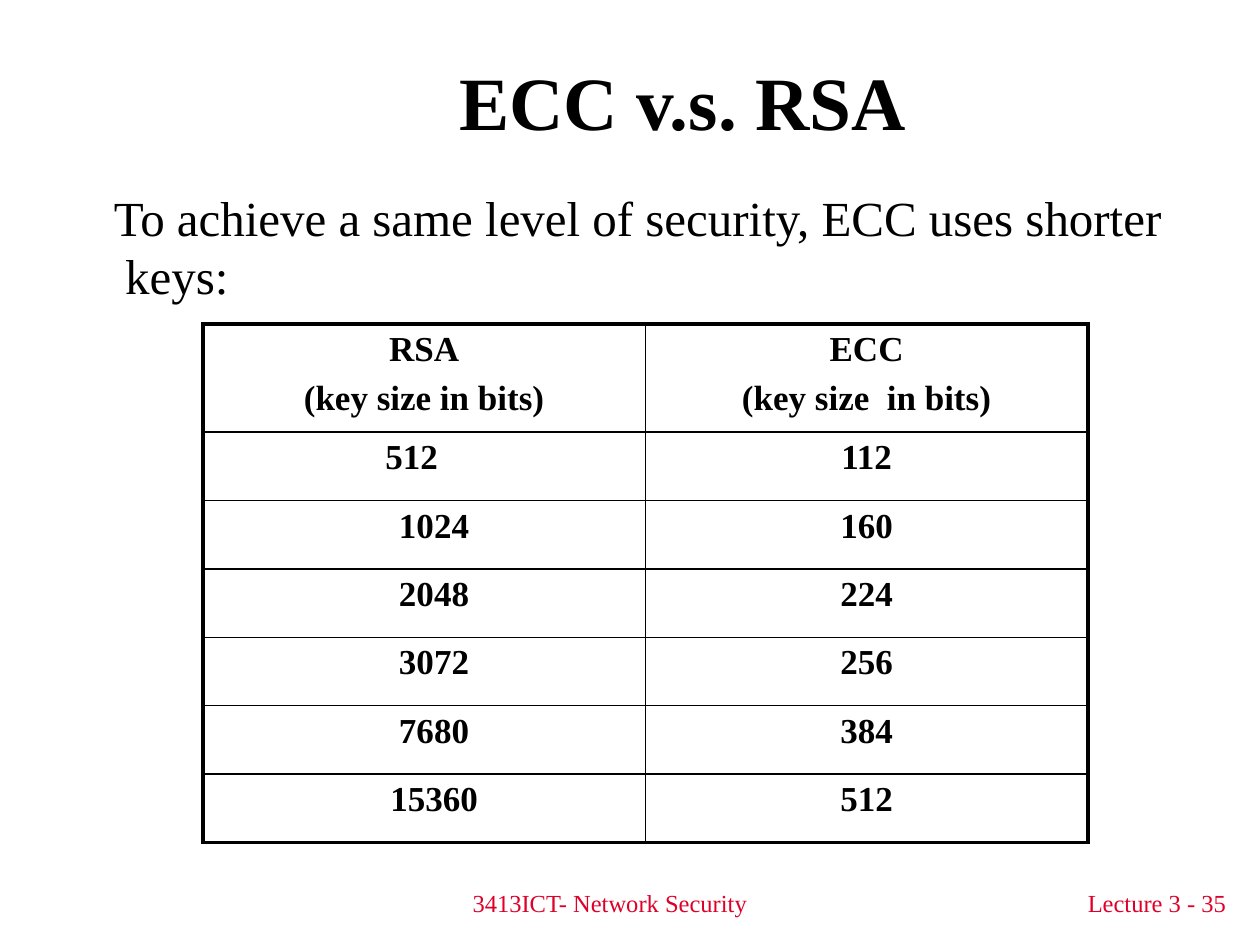
from pptx import Presentation
from pptx.dml.color import RGBColor
from pptx.enum.text import MSO_ANCHOR as Anchor, MSO_AUTO_SIZE as AutoSize, PP_ALIGN as Align
from pptx.oxml.ns import qn
from pptx.util import Cm, Pt
from lxml.etree import SubElement

BLACK = RGBColor(0x00, 0x00, 0x00)
RED = RGBColor(0xDF, 0x00, 0x29)
FONT = "Times New Roman"
THICK, THIN = 2.25, 1
HEADER_HEIGHT, ROW_HEIGHT, COLUMN_WIDTH = 2.18, 1.38, 8.92
CELL_MARGIN = 0.25

HEADINGS = (["RSA", "(key size in bits)"], ["ECC", "(key size  in bits)"])
KEY_SIZES = [
    ("512", "112", -0.5),
    ("1024", "160", 0.4),
    ("2048", "224", 0.4),
    ("3072", "256", 0.4),
    ("7680", "384", 0.4),
    ("15360", "512", 0.4),
]


def style(paragraph, size, align=Align.LEFT, color=BLACK, bold=False):
    paragraph.alignment = align
    paragraph.space_before = Pt(0)
    font = paragraph.font
    font.name, font.size, font.bold = FONT, Pt(size), bold
    font.color.rgb = color


def place(shape, left, top, width, height):
    shape.left, shape.top = Cm(left), Cm(top)
    shape.width, shape.height = Cm(width), Cm(height)


def add_title(slide, text):
    title = slide.shapes.title
    place(title, 3.18, 0.43, 21.16, 3.18)
    frame = title.text_frame
    frame.text = text
    frame.auto_size = AutoSize.NONE
    frame.vertical_anchor = Anchor.MIDDLE
    style(frame.paragraphs[0], 43, Align.CENTER, bold=True)


def add_statement(slide, text):
    statement = slide.placeholders[1]
    place(statement, 1.3, 3.53, 23.24, 2.9)
    frame = statement.text_frame
    frame.text = text
    frame.auto_size = AutoSize.NONE
    frame.margin_top = Cm(0.24)
    paragraph = frame.paragraphs[0]
    properties = paragraph._p.get_or_add_pPr()
    properties.set("marL", str(Cm(0.97)))
    properties.set("indent", str(Cm(-0.23)))
    SubElement(properties, qn("a:buNone"))
    style(paragraph, 28)


def add_footer(slide, text, left, width, align):
    footer = slide.shapes.add_textbox(Cm(left), Cm(17.78), Cm(width), Cm(0.84))
    frame = footer.text_frame
    frame.word_wrap = True
    frame.text = text
    style(frame.paragraphs[0], 14, align, RED)


def set_borders(cell, widths):
    properties = cell._tc.get_or_add_tcPr()
    for side, width in zip("LRTB", widths):
        line = SubElement(properties, qn(f"a:ln{side}"), w=str(Pt(width)))
        fill = SubElement(line, qn("a:solidFill"))
        SubElement(fill, qn("a:srgbClr"), val=str(BLACK))


def fill_cell(cell, lines, shift=0):
    cell.margin_left = Cm(CELL_MARGIN + max(shift, 0))
    cell.margin_right = Cm(CELL_MARGIN + max(-shift, 0))
    cell.text = "\n".join(lines)
    for paragraph in cell.text_frame.paragraphs:
        style(paragraph, 20, Align.CENTER, bold=True)
    for paragraph in cell.text_frame.paragraphs[:-1]:
        paragraph.space_after = Pt(6)


def add_key_size_table(slide):
    row_count = len(KEY_SIZES) + 1
    table_height = HEADER_HEIGHT + ROW_HEIGHT * len(KEY_SIZES)
    table = slide.shapes.add_table(
        row_count, 2, Cm(4.09), Cm(6.53), Cm(2 * COLUMN_WIDTH), Cm(table_height)
    ).table
    table.first_row = table.horz_banding = False
    for column in table.columns:
        column.width = Cm(COLUMN_WIDTH)
    for index, row in enumerate(table.rows):
        row.height = Cm(ROW_HEIGHT if index else HEADER_HEIGHT)
        top = THIN if index else THICK
        bottom = THICK if index == row_count - 1 else THIN
        set_borders(row.cells[0], (THICK, THIN, top, bottom))
        set_borders(row.cells[1], (THIN, THICK, top, bottom))
        for cell in row.cells:
            cell.fill.background()
    for column, lines in enumerate(HEADINGS):
        fill_cell(table.cell(0, column), lines)
    for index, (rsa, ecc, shift) in enumerate(KEY_SIZES, start=1):
        fill_cell(table.cell(index, 0), [rsa], shift)
        fill_cell(table.cell(index, 1), [ecc])


def main():
    deck = Presentation()
    deck.slide_width, deck.slide_height = Cm(25.4), Cm(19.05)
    slide = deck.slides.add_slide(deck.slide_layouts[1])
    add_title(slide, "ECC v.s. RSA")
    add_statement(slide, "To achieve a same level of security, ECC uses shorter keys:")
    add_key_size_table(slide)
    add_footer(slide, "3413ICT- Network Security", 7.29, 10.01, Align.CENTER)
    add_footer(slide, "Lecture 3 - 35", 17.78, 7.19, Align.RIGHT)
    deck.save("out.pptx")


if __name__ == "__main__":
    main()
